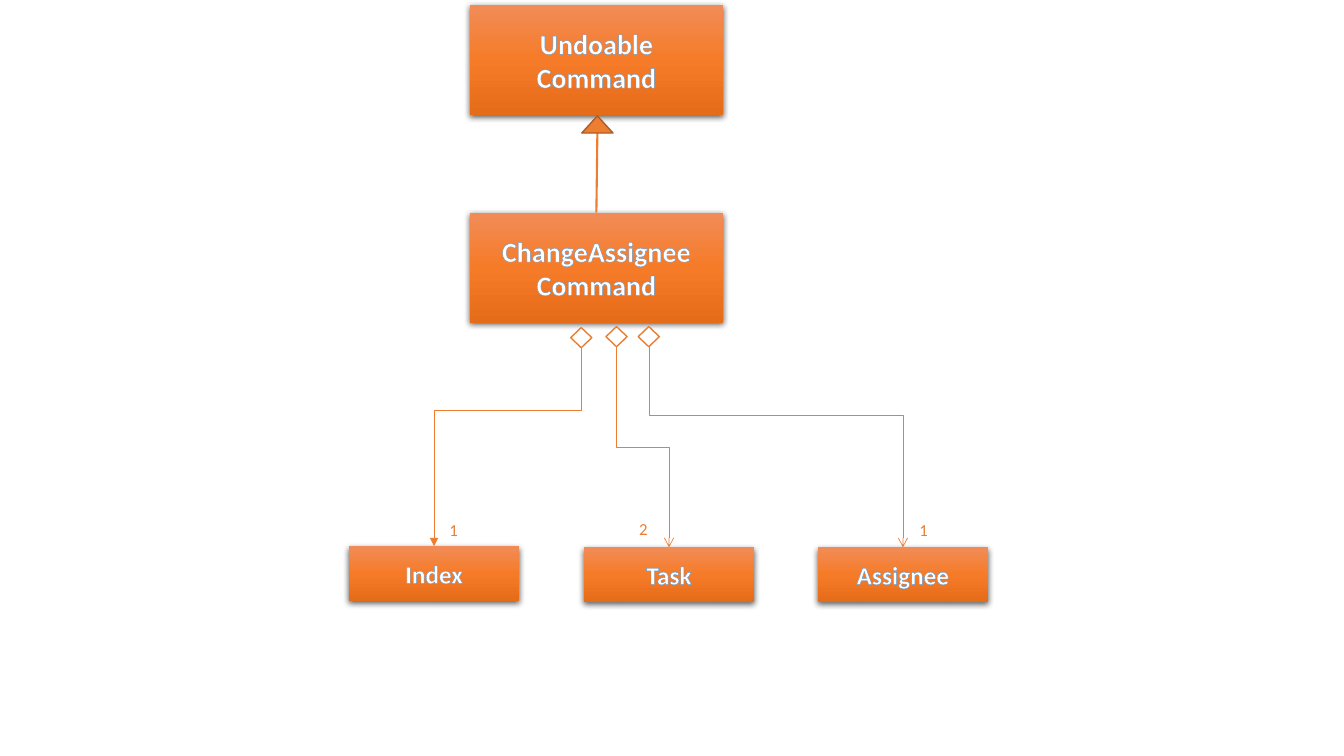
import pptx
import pptx.util
import pptx.dml.color
import pptx.enum.shapes
import pptx.enum.text
import pptx.oxml.ns
from lxml import etree

Inches = pptx.util.Inches
Pt = pptx.util.Pt
KIND = pptx.enum.shapes.MSO_SHAPE
LINK = pptx.enum.shapes.MSO_CONNECTOR
ALIGN = pptx.enum.text.PP_ALIGN
qn = pptx.oxml.ns.qn

ORANGE, EDGE, WHITE, BLUE = "ED7D31", "AF5C24", "FFFFFF", "5B9BD5"
GRADE = [(0, "F18C57"), (50, "F67B28"), (100, "E56C19")]
BIG, SMALL = (2.51, 1.09), (1.69, 0.54)
GEM = (0.21, 0.2)
TIP = (5.77, 1.15, 0.31, 0.17)

PARENT = (["Undoable", "Command"], 4.66, 0.05)
CHILD = (["ChangeAssignee", "Command"], 4.66, 2.11)
PARTS = [
    dict(name="Index", box=(3.46, 5.42), gem=(5.66, 3.25), bend=0.314,
         head="triangle", count="1", label=(4.36, 5.11)),
    dict(name="Task", box=(5.79, 5.43), gem=(6.33, 3.24), bend=0.5,
         head="arrow", count="2", label=(6.24, 5.1), start=(6.12, 3.44)),
    dict(name="Assignee", box=(8.11, 5.43), gem=(6.01, 3.24), bend=0.34,
         head="arrow", count="1", label=(9.02, 5.11), start=(6.44, 3.45)),
]


def color(code):
    return pptx.dml.color.RGBColor.from_string(code)


def node(base, tag, **attrs):
    return etree.SubElement(base, qn(tag), {k: str(v) for k, v in attrs.items()})


def write(frame, lines, size=12, tint=ORANGE, bold=False, align=None, rim=None):
    frame.word_wrap = True
    for i, line in enumerate(lines):
        para = frame.paragraphs[0] if i == 0 else frame.add_paragraph()
        para.alignment = align
        run = para.add_run()
        run.text = line
        font = run.font
        font.name, font.size, font.bold = "Calibri", Pt(size), bold
        font.color.rgb = color(tint)
        if rim:
            props = run._r.get_or_add_rPr()
            edge = node(props, "a:ln", w=Pt(0.8))
            node(node(edge, "a:solidFill"), "a:srgbClr", val=rim)
            props.insert(0, edge)


def draw(slide, kind, left, top, wide, high, fill=None, line=None):
    shape = slide.shapes.add_shape(kind, *map(Inches, (left, top, wide, high)))
    shape.shadow.inherit = False
    if fill:
        shape.fill.solid()
        shape.fill.fore_color.rgb = color(fill)
    if line:
        shape.line.color.rgb = color(line)
        shape.line.width = Pt(1)
    else:
        shape.line.fill.background()
    return shape


def panel(slide, lines, left, top, span, size):
    shape = draw(slide, KIND.RECTANGLE, left, top, *span)
    shape.fill.gradient()
    shape.fill.gradient_angle = 270
    props = shape._element.spPr
    stops = props.find(".//" + qn("a:gsLst"))
    for old in list(stops):
        stops.remove(old)
    for pos, code in GRADE:
        node(node(stops, "a:gs", pos=pos * 1000), "a:srgbClr", val=code)
    shade = node(props.find(qn("a:effectLst")), "a:outerShdw", blurRad=Pt(4.5),
                 dist=Pt(1.5), dir=5400000, algn="ctr", rotWithShape=0)
    node(node(shade, "a:srgbClr", val="000000"), "a:alpha", val=63000)
    write(shape.text_frame, lines, size=size, tint=WHITE, bold=True,
          align=ALIGN.CENTER, rim=BLUE)
    return shape


def join(slide, kind, ends, width):
    link = slide.shapes.add_connector(kind, *map(Inches, ends))
    link.line.color.rgb = color(ORANGE)
    link.line.width = Pt(width)
    node(link._element.spPr, "a:effectLst")
    return link


def elbow(slide, x1, y1, x2, y2, bend, head):
    midx, midy = (x1 + x2) / 2, (y1 + y2) / 2
    run, drop = abs(x2 - x1) / 2, (y2 - y1) / 2
    link = join(slide, LINK.ELBOW,
                (midx - drop, midy - run, midx + drop, midy + run), 0.5)
    props = link._element.spPr
    frame = props.find(qn("a:xfrm"))
    if x2 > x1:
        frame.set("rot", "16200000")
        frame.set("flipH", "1")
    else:
        frame.set("rot", "5400000")
    guides = props.find(qn("a:prstGeom")).find(qn("a:avLst"))
    node(guides, "a:gd", name="adj1", fmla=f"val {round(bend * 100000)}")
    node(props.find(qn("a:ln")), "a:tailEnd", type=head)


def main():
    deck = pptx.Presentation()
    deck.slide_width, deck.slide_height = Inches(13.33), Inches(7.5)
    slide = deck.slides.add_slide(deck.slide_layouts[6])

    panel(slide, *PARENT, BIG, 20)
    child = panel(slide, *CHILD, BIG, 20)
    left, top, wide, high = TIP
    x = CHILD[1] + BIG[0] / 2
    stem = join(slide, LINK.STRAIGHT,
                (x, CHILD[2], left + wide / 2, top + high), 1.5)
    stem.begin_connect(child, 0)
    draw(slide, KIND.ISOSCELES_TRIANGLE, *TIP, fill=ORANGE, line=EDGE)

    for part in PARTS:
        x, y = part["box"]
        panel(slide, [part["name"]], x, y, SMALL, 18)
        draw(slide, KIND.DIAMOND, *part["gem"], *GEM, fill=WHITE, line=ORANGE)
        label = slide.shapes.add_textbox(
            *map(Inches, (*part["label"], 0.3, 0.3)))
        write(label.text_frame, [part["count"]])
        label.text_frame.auto_size = pptx.enum.text.MSO_AUTO_SIZE.SHAPE_TO_FIT_TEXT

    gems = sorted(part["gem"] for part in PARTS)
    for part, (left, top) in zip(PARTS, gems):
        x, y = part["box"]
        elbow(slide, left + GEM[0] / 2, top + GEM[1], x + SMALL[0] / 2, y,
              part["bend"], part["head"])

    deck.save("out.pptx")


if __name__ == "__main__":
    main()
